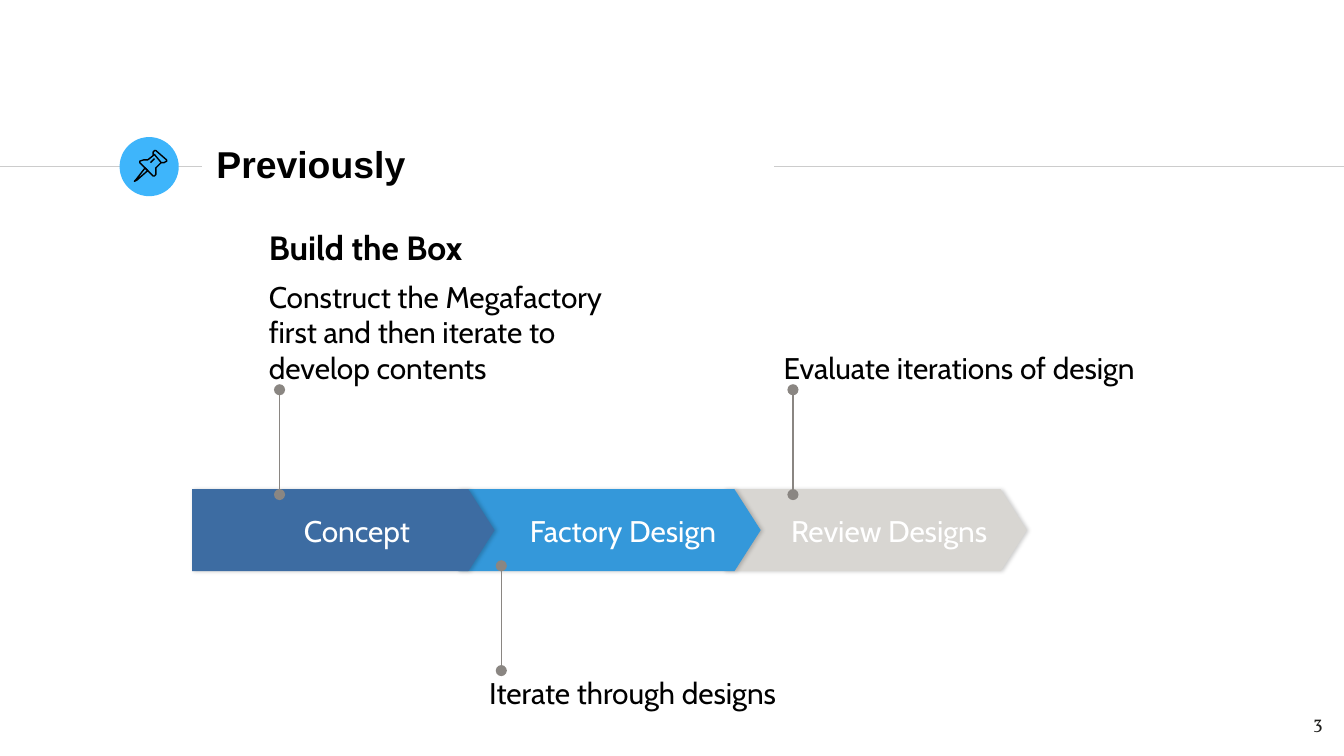
from dataclasses import dataclass

from lxml import etree
from pptx import Presentation
from pptx import util as u
from pptx.dml import color
from pptx.enum import shapes, text
from pptx.oxml import ns, parse_xml

CELL = u.Inches(0.1)
COLUMNS, ROWS = 100, 56.25
RULE_ROW = 12.4
STEP_LEFT, STEP_TOP, STEP_PITCH = 14.3, 36.4, 19.8
STEP_WIDTH, STEP_HEIGHT = 22.5, 6.1
PIN_LENGTH = 7.8
NOTE_WIDTH, NOTE_HEIGHT = 27.5, 8.3
BLACK, WHITE, GREY = "000000", "FFFFFF", "8A8682"


@dataclass
class Line:
    words: str
    size: int = 16
    bold: bool = False
    color: str = BLACK
    font: str = "Cabin"


@dataclass
class Step:
    name: str
    fill: str


@dataclass
class Note:
    lines: list[Line]
    left: float
    top: float
    pin: float
    pin_bottom: float
    anchor: text.MSO_ANCHOR


@dataclass
class Stroke:
    points: list[tuple[int, int]]
    closed: bool = False


STEPS = [
    Step("Concept", "3D6CA2"),
    Step("Factory Design", "3498DA"),
    Step("Review Designs", "D8D6D2"),
]
NOTES = [
    Note([Line("Build the Box", 18, True),
          Line("Construct the Megafactory first and then iterate to develop contents")],
         20, 20.4, 20.8, 36.8, text.MSO_ANCHOR.BOTTOM),
    Note([Line("Evaluate iterations of design")],
         58.3, 20.4, 59, 36.8, text.MSO_ANCHOR.BOTTOM),
    Note([Line("Iterate through designs")],
         36.4, 50.2, 37.3, 49.9, text.MSO_ANCHOR.TOP),
]
PUSHPIN = [
    Stroke([(108, 125), (101, 134), (100, 135), (102, 134), (110, 127)], True),
    Stroke([(115, 115), (120, 121), (122, 121), (124, 120), (124, 119),
            (116, 112), (115, 112), (114, 113), (114, 115)], True),
    Stroke([(115, 115), (110, 119), (107, 119), (104, 120), (104, 121),
            (114, 131), (115, 131), (116, 130), (116, 125), (120, 121)]),
    Stroke([(112, 121), (115, 118)]),
]


def cells(count: float) -> u.Emu:
    return u.Emu(round(count * CELL))


def area(left: float, top: float, width: float, height: float) -> list[u.Emu]:
    return [cells(count) for count in (left, top, width, height)]


def paint(target, value: str) -> None:
    if hasattr(target, "solid"):
        target.solid()
        target = target.fore_color
    target.rgb = color.RGBColor.from_string(value)


def write(box, lines: list[Line], anchor=text.MSO_ANCHOR.TOP,
          align=text.PP_ALIGN.LEFT, inset: float = 0, left_inset: float = 0) -> None:
    frame = box.text_frame
    frame.word_wrap = True
    frame.auto_size = text.MSO_AUTO_SIZE.NONE
    frame.vertical_anchor = anchor
    frame.margin_top = frame.margin_right = frame.margin_bottom = cells(inset)
    frame.margin_left = cells(left_inset or inset)
    for index, line in enumerate(lines):
        para = frame.add_paragraph() if index else frame.paragraphs[0]
        para.text = line.words
        para.alignment = align
        para.space_before = u.Pt(6 if index else 0)
        para.font.name = line.font
        para.font.size = u.Pt(line.size)
        para.font.bold = line.bold
        paint(para.font.color, line.color)


def draw_line(page, start: tuple[float, float], end: tuple[float, float],
              shade: str, dotted: bool = False) -> None:
    line = page.shapes.add_connector(
        shapes.MSO_CONNECTOR.STRAIGHT, *map(cells, start + end))
    line.line.width = u.Pt(0.75)
    paint(line.line.fill, shade)
    properties = line._element.spPr
    if dotted:
        outline = properties.find(ns.qn("a:ln"))
        for tag in ("a:headEnd", "a:tailEnd"):
            etree.SubElement(outline, ns.qn(tag), type="oval")
    etree.SubElement(properties, ns.qn("a:effectLst"))


def draw_step(page, index: int, step: Step) -> None:
    arrow = page.shapes.add_shape(
        shapes.MSO_SHAPE.PENTAGON,
        *area(STEP_LEFT + index * STEP_PITCH, STEP_TOP, STEP_WIDTH, STEP_HEIGHT))
    arrow.adjustments[0] = 0.32
    paint(arrow.fill, step.fill)
    arrow.line.fill.background()
    arrow.shadow.inherit = False
    effects = arrow._element.spPr.find(ns.qn("a:effectLst"))
    effects.append(parse_xml(
        f'<a:outerShdw {ns.nsdecls("a")} blurRad="{u.Pt(2.2)}" dist="{u.Pt(0.8)}" dir="0">'
        f'<a:srgbClr val="{BLACK}"><a:alpha val="20000"/></a:srgbClr></a:outerShdw>'))
    write(arrow, [Line(step.name, color=WHITE)], text.MSO_ANCHOR.MIDDLE,
          text.PP_ALIGN.CENTER, left_inset=3)


def draw_note(page, note: Note) -> None:
    draw_line(page, (note.pin, note.pin_bottom),
              (note.pin, note.pin_bottom - PIN_LENGTH), GREY, dotted=True)
    box = page.shapes.add_textbox(*area(note.left, note.top, NOTE_WIDTH, NOTE_HEIGHT))
    write(box, note.lines, note.anchor)


def draw_stroke(page, stroke: Stroke) -> None:
    builder = page.shapes.build_freeform(*stroke.points[0], scale=CELL / 10)
    builder.add_line_segments(stroke.points[1:], close=stroke.closed)
    outline = builder.convert_to_shape()
    outline.fill.background()
    outline.line.width = u.Pt(0.75)
    paint(outline.line.fill, BLACK)
    outline.shadow.inherit = False


def main() -> None:
    deck = Presentation()
    deck.slide_width, deck.slide_height = cells(COLUMNS), cells(ROWS)
    page = deck.slides.add_slide(deck.slide_layouts.get_by_name("Title Only"))

    draw_line(page, (0, RULE_ROW), (15, RULE_ROW), "CCCCCC")
    draw_line(page, (57.6, RULE_ROW), (COLUMNS, RULE_ROW), "CCCCCC")
    badge = page.shapes.add_shape(shapes.MSO_SHAPE.OVAL, *area(8.9, 10.2, 4.4, 4.4))
    paint(badge.fill, "3EB5FB")
    badge.line.fill.background()
    badge.shadow.inherit = False

    title = page.shapes.title
    title.left, title.top, title.width, title.height = area(15.1, 9.8, 42.4, 4.8)
    write(title, [Line("Previously", 20, True, font="Arial")],
          text.MSO_ANCHOR.MIDDLE, inset=1)
    number = page.shapes.add_textbox(*area(93.4, 51.9, 6, 4.3))
    write(number, [Line("3", 10, color="1D1D1B", font="Vollkorn")],
          align=text.PP_ALIGN.RIGHT, inset=1)

    for index, step in reversed(list(enumerate(STEPS))):
        draw_step(page, index, step)
    for note in NOTES:
        draw_note(page, note)
    for stroke in PUSHPIN:
        draw_stroke(page, stroke)
    deck.save("out.pptx")


if __name__ == "__main__":
    main()
